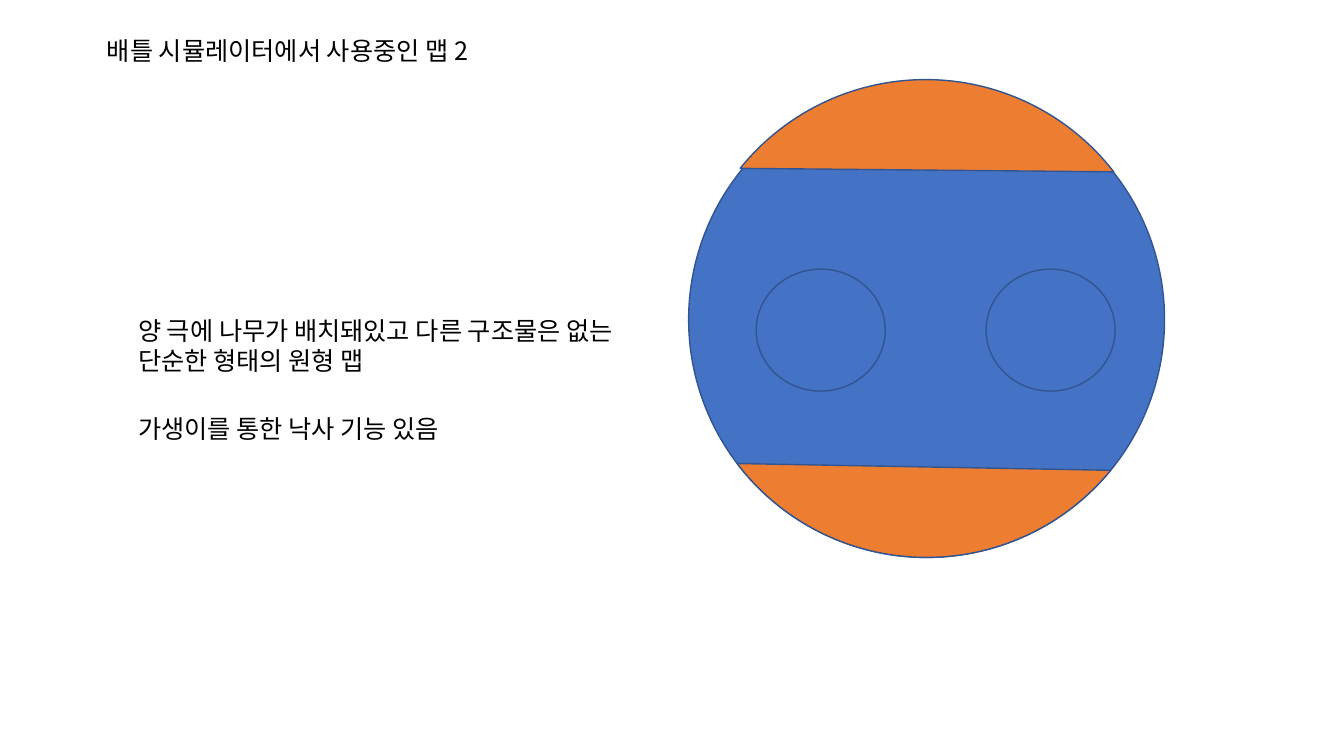
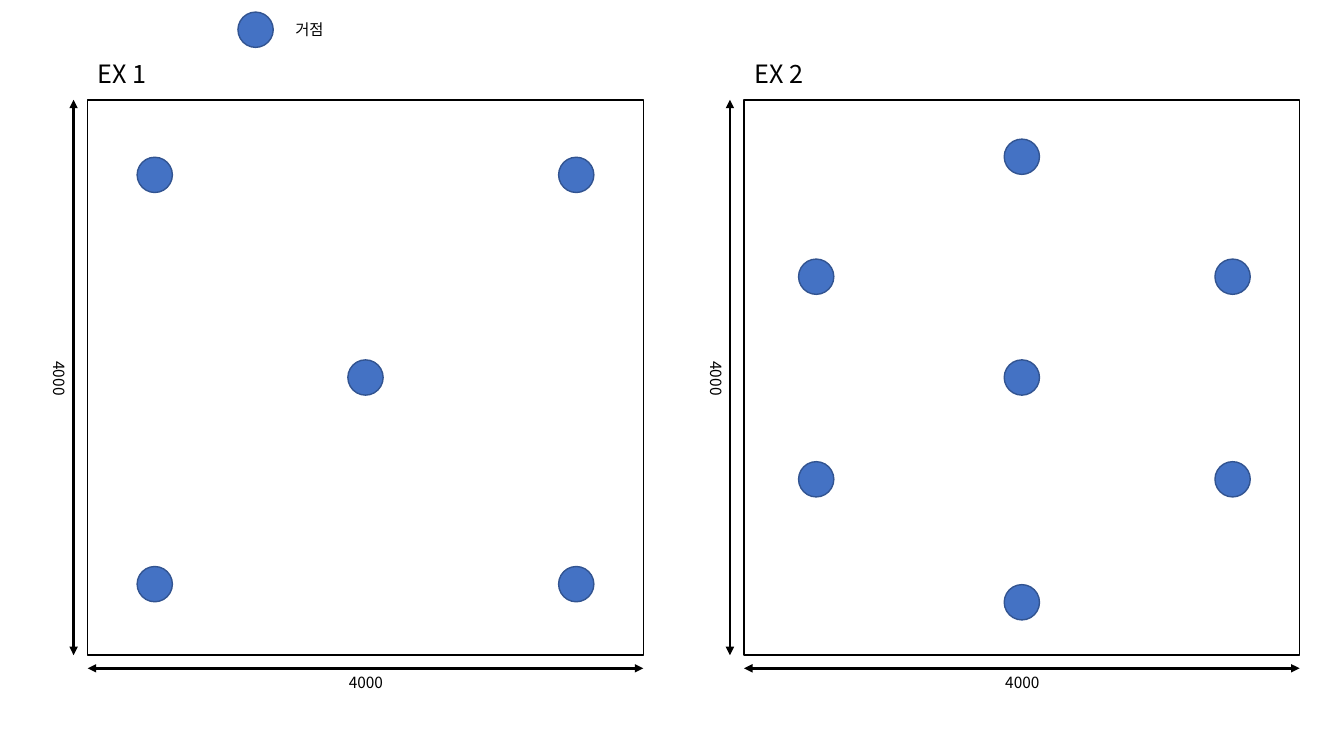
from dataclasses import dataclass

from lxml.etree import SubElement
from pptx import Presentation
from pptx.dml.color import RGBColor
from pptx.enum.shapes import MSO_CONNECTOR, MSO_SHAPE
from pptx.enum.text import MSO_ANCHOR, MSO_AUTO_SIZE, PP_ALIGN
from pptx.oxml.ns import qn
from pptx.util import Inches, Pt


@dataclass(frozen=True)
class Theme:
    font: str = "Noto Sans CJK KR"
    ink: RGBColor = RGBColor.from_string("000000")
    paper: RGBColor = RGBColor.from_string("FFFFFF")
    blue: RGBColor = RGBColor.from_string("4472C4")
    orange: RGBColor = RGBColor.from_string("ED7D31")
    outline: RGBColor = RGBColor.from_string("325491")
    heading: int = 18
    label: int = 11
    thin: int = 1
    thick: int = 2


class DeckBuilder:
    def __init__(self, theme):
        self.theme = theme
        self.deck = Presentation()
        self.deck.slide_width = Inches(13.33)
        self.deck.slide_height = Inches(7.5)
        self.page = None

    def new_page(self, layout_name):
        layout = self.deck.slide_layouts.get_by_name(layout_name)
        self.page = self.deck.slides.add_slide(layout)

    def place(self, box, left, top, width, height):
        box.left, box.top = Inches(left), Inches(top)
        box.width, box.height = Inches(width), Inches(height)

    def fill_text(self, box, text, size, align=PP_ALIGN.LEFT, wrap=True):
        frame = box.text_frame
        frame.text = text
        frame.word_wrap = wrap
        frame.auto_size = MSO_AUTO_SIZE.NONE
        frame.vertical_anchor = MSO_ANCHOR.TOP
        for para in frame.paragraphs:
            para.alignment = align
            para.space_before = Pt(0)
            for span in para.runs:
                span.font.name = self.theme.font
                span.font.size = Pt(size)
                span.font.bold = False
                span.font.color.rgb = self.theme.ink
                properties = span._r.get_or_add_rPr()
                SubElement(properties, qn("a:ea"), typeface=self.theme.font)

    def placeholder(self, index, text, left, top, width, height):
        box = self.page.placeholders[index]
        self.place(box, left, top, width, height)
        self.fill_text(box, text, self.theme.heading)
        for para in box.text_frame.paragraphs:
            properties = para._p.get_or_add_pPr()
            properties.set("marL", "0")
            properties.set("indent", "0")
            SubElement(properties, qn("a:buNone"))
        return box

    def label(self, text, left, top, rotation=0):
        box = self.page.shapes.add_textbox(
            Inches(left), Inches(top), Inches(0.54), Inches(0.29))
        box.rotation = rotation
        self.fill_text(box, text, self.theme.label, PP_ALIGN.CENTER, wrap=False)

    def shape(self, kind, left, top, width, height, fill, line):
        shape = self.page.shapes.add_shape(
            kind, Inches(left), Inches(top), Inches(width), Inches(height))
        shape.shadow.inherit = False
        shape.fill.solid()
        shape.fill.fore_color.rgb = fill
        shape.line.color.rgb = line
        shape.line.width = Pt(self.theme.thin)
        return shape

    def circle(self, left, top, width, height):
        self.shape(MSO_SHAPE.OVAL, left, top, width, height,
                   self.theme.blue, self.theme.outline)

    def chord(self, left, top, size, rotation):
        chord = self.shape(MSO_SHAPE.CHORD, left, top, size, size,
                           self.theme.orange, self.theme.outline)
        chord.adjustments[0] = 62.05
        chord.adjustments[1] = 124.11
        chord.rotation = rotation

    def double_arrow(self, x1, y1, x2, y2):
        arrow = self.page.shapes.add_connector(
            MSO_CONNECTOR.STRAIGHT, Inches(x1), Inches(y1), Inches(x2), Inches(y2))
        arrow.line.color.rgb = self.theme.ink
        arrow.line.width = Pt(self.theme.thick)
        properties = arrow._element.spPr
        line = properties.get_or_add_ln()
        for end in ("a:headEnd", "a:tailEnd"):
            SubElement(line, qn(end), type="triangle")
        SubElement(properties, qn("a:effectLst"))

    def site(self, left, top):
        self.circle(left, top, 0.35, 0.35)

    def arena(self, left, sites):
        top, size = 0.99, 5.51
        self.shape(MSO_SHAPE.RECTANGLE, left, top, size, size,
                   self.theme.paper, self.theme.ink)
        self.double_arrow(left - 0.14, top, left - 0.14, top + size)
        self.double_arrow(left, 6.63, left + size, 6.63)
        self.label("4000", left + 2.49, 6.63)
        self.label("4000", left - 0.55, 3.61, rotation=90)
        for across, down in sites:
            self.site(left + across, top + down)

    def drop_empty_placeholders(self):
        for box in list(self.page.placeholders):
            if not box.text_frame.text:
                box._element.getparent().remove(box._element)


def build_round_map(builder):
    builder.new_page("Title and Content")
    builder.placeholder(0, "배틀 시뮬레이터에서 사용중인 맵 2", 0.96, 0.3, 5.1, 0.4)
    notes = "\n".join((
        "양 극에 나무가 배치돼있고 다른 구조물은 없는",
        "단순한 형태의 원형 맵",
        "가생이를 통한 낙사 기능 있음",
    ))
    body = builder.placeholder(1, notes, 1.27, 3.08, 5.9, 1.38)
    body.text_frame.paragraphs[-1].space_before = Pt(27)
    builder.circle(6.83, 0.81, 4.72, 4.72)
    builder.chord(6.83, 0.81, 4.72, 295.9)
    builder.chord(6.82, 0.79, 4.72, 115.4)
    for left in (7.5, 9.78):
        builder.circle(left, 2.67, 1.28, 1.21)


def build_site_examples(builder):
    builder.new_page("Comparison")
    near, middle, far = 0.49, 2.58, 4.67
    corners = [(x, y) for x in (near, far) for y in (0.57, 4.63)]
    column = [(middle, y) for y in (0.39, middle, 4.81)]
    flanks = [(x, y) for x in (0.54, far) for y in (1.58, 3.59)]
    examples = (
        (1, "EX 1", 0.87, corners + [(middle, middle)]),
        (3, "EX 2", 7.38, column + flanks),
    )
    for index, caption, left, sites in examples:
        builder.placeholder(index, caption, left, 0.53, 1.89, 0.4)
        builder.arena(left, sites)
    builder.site(2.36, 0.12)
    builder.label("거점", 2.8, 0.15)
    builder.drop_empty_placeholders()


def main():
    builder = DeckBuilder(Theme())
    build_round_map(builder)
    build_site_examples(builder)
    builder.deck.save("out.pptx")


if __name__ == "__main__":
    main()
